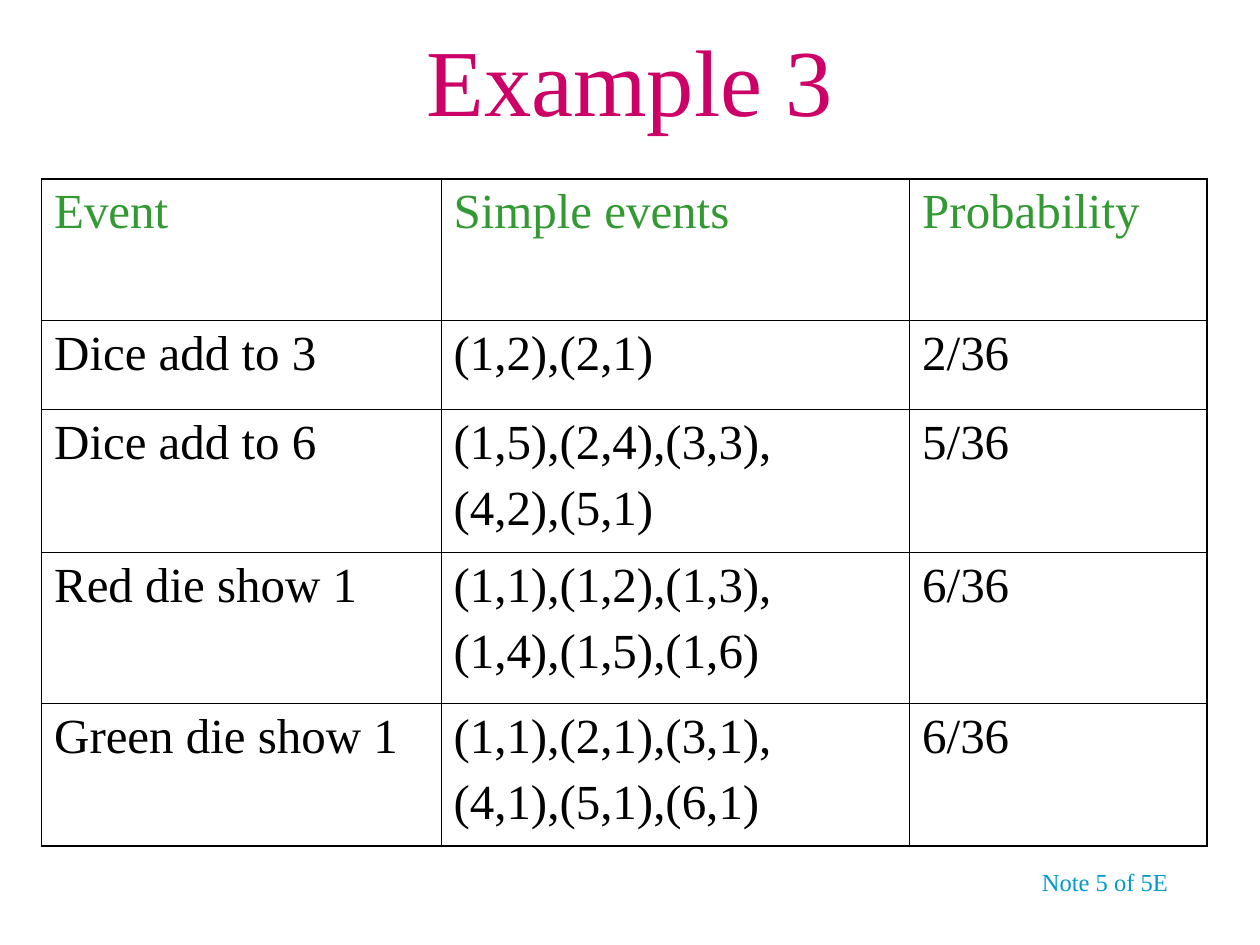
import pptx
import pptx.dml.color
import pptx.enum.text
import pptx.oxml.ns
import pptx.util
from lxml import etree
from pptx.util import Inches

FONT = "Times New Roman"
TITLE = ("Example 3", 54, "CC0066")
NOTE = ("Note 5 of 5E", 14, "0099CC")
HEADER_COLOR, BODY_COLOR, BORDER_COLOR = "339933", "000000", "000000"
OUTER_BORDER, INNER_BORDER = 1.08, 0.45
ROWS = [
    ("Event", "Simple events", "Probability"),
    ("Dice add to 3", "(1,2),(2,1)", "2/36"),
    ("Dice add to 6", "(1,5),(2,4),(3,3),\n(4,2),(5,1)", "5/36"),
    ("Red die show 1", "(1,1),(1,2),(1,3),\n(1,4),(1,5),(1,6)", "6/36"),
    ("Green die show 1", "(1,1),(2,1),(3,1),\n(4,1),(5,1),(6,1)", "6/36"),
]
COLUMN_WIDTHS = [3.17, 3.72, 2.36]
ROW_HEIGHTS = [1.12, 0.71, 1.13, 1.2, 1.13]


def rgb(color):
    return pptx.dml.color.RGBColor.from_string(color)


def write_text(frame, text, size, color):
    frame.text = text
    frame.word_wrap = True
    for index, para in enumerate(frame.paragraphs):
        if index:
            para.space_before = pptx.util.Pt(7)
        for span in para.runs:
            span.font.name = FONT
            span.font.size = pptx.util.Pt(size)
            span.font.color.rgb = rgb(color)


def add_text(page, place, content):
    box = page.shapes.add_textbox(*map(Inches, place))
    write_text(box.text_frame, *content)
    return box.text_frame


def set_borders(cell, outer_sides):
    properties = cell._tc.get_or_add_tcPr()
    qn = pptx.oxml.ns.qn
    for position, (side, outer) in enumerate(outer_sides.items()):
        width = pptx.util.Pt(OUTER_BORDER if outer else INNER_BORDER)
        line = etree.Element(qn("a:" + side), w=str(int(width)))
        fill = etree.SubElement(line, qn("a:solidFill"))
        etree.SubElement(fill, qn("a:srgbClr"), val=BORDER_COLOR)
        properties.insert(position, line)


def add_event_table(page):
    last_row, last_column = len(ROWS) - 1, len(COLUMN_WIDTHS) - 1
    place = (0.33, 1.42, sum(COLUMN_WIDTHS), sum(ROW_HEIGHTS))
    table = page.shapes.add_table(len(ROWS), len(COLUMN_WIDTHS), *map(Inches, place)).table
    for column, width in zip(table.columns, COLUMN_WIDTHS):
        column.width = Inches(width)
    for row, height in zip(table.rows, ROW_HEIGHTS):
        row.height = Inches(height)
    for r, texts in enumerate(ROWS):
        for c, text in enumerate(texts):
            cell = table.cell(r, c)
            cell.fill.background()
            write_text(cell.text_frame, text, 28, BODY_COLOR if r else HEADER_COLOR)
            set_borders(cell, {"lnL": c == 0, "lnR": c == last_column,
                               "lnT": r == 0, "lnB": r == last_row})


def main():
    deck = pptx.Presentation()
    deck.slide_width, deck.slide_height = Inches(10), Inches(7.5)
    page = deck.slides.add_slide(deck.slide_layouts[6])
    note = add_text(page, (6.42, 6.83, 3.33, 0.34), NOTE)
    note.margin_left = Inches(1.85)
    title = add_text(page, (0.75, 0, 8.5, 1.25), TITLE)
    title.vertical_anchor = pptx.enum.text.MSO_ANCHOR.MIDDLE
    title.paragraphs[0].alignment = pptx.enum.text.PP_ALIGN.CENTER
    add_event_table(page)
    deck.save("out.pptx")


if __name__ == "__main__":
    main()
